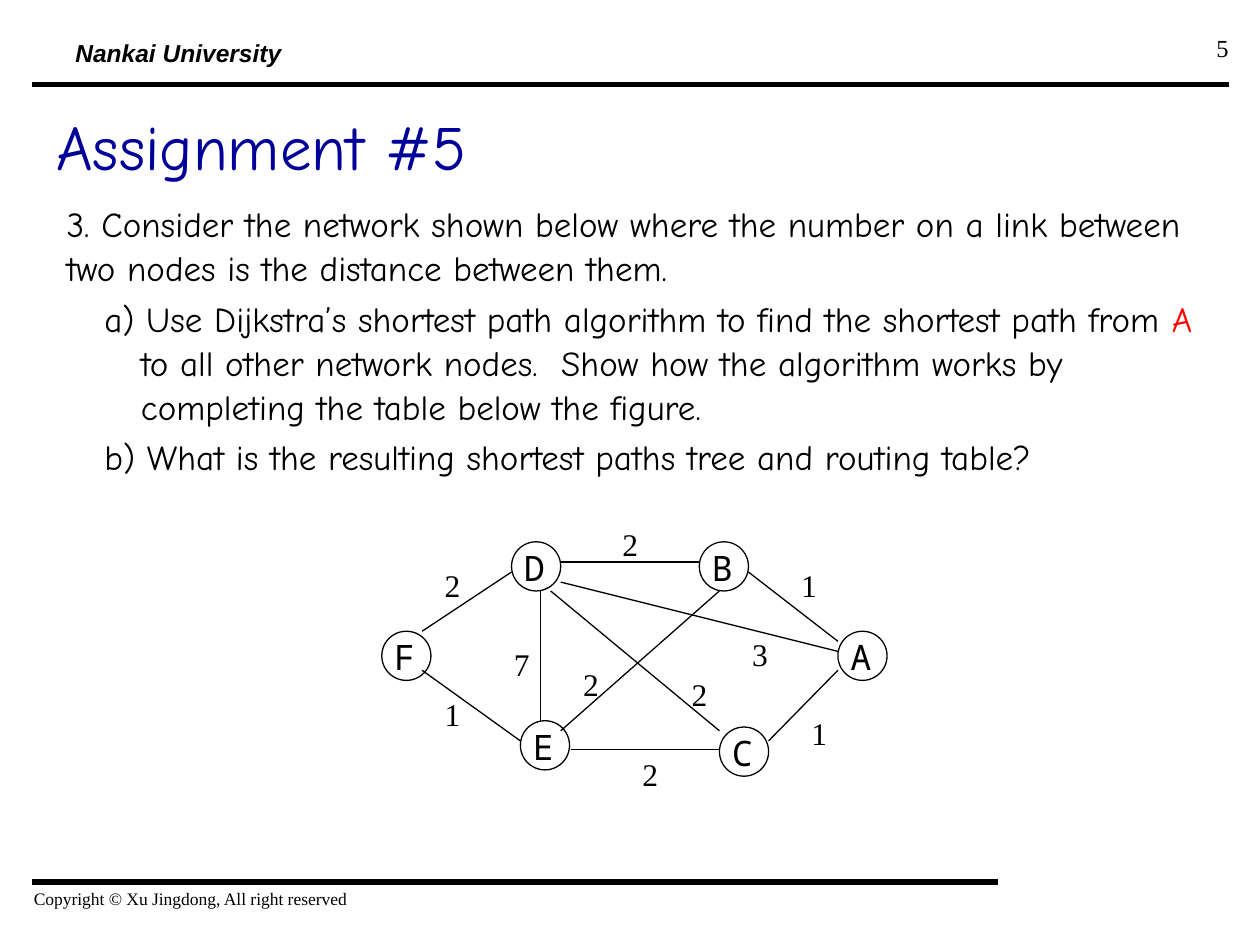
import pptx
import pptx.util
import pptx.dml.color
import pptx.enum.shapes
import pptx.enum.text
import pptx.oxml.ns
from lxml import etree

Inches, Pt = pptx.util.Inches, pptx.util.Pt
RGBColor = pptx.dml.color.RGBColor
ALIGN = pptx.enum.text.PP_ALIGN
ANCHOR = pptx.enum.text.MSO_ANCHOR
AUTO_SIZE = pptx.enum.text.MSO_AUTO_SIZE
qn = pptx.oxml.ns.qn

BLACK = RGBColor(0, 0, 0)
NAVY = RGBColor(0x00, 0x00, 0x99)
RED = RGBColor(0xFF, 0, 0)
SERIF, SANS, HAND, MONO = "Times New Roman", "Arial", "Comic Neue", "Noto Sans Mono"

NODE_SIZE = 0.39
NODES = {"A": (6.65, 5.01), "B": (5.55, 4.3), "C": (5.71, 5.77),
         "D": (4.06, 4.3), "E": (4.13, 5.72), "F": (3.03, 5.01)}

# Each link: start, end, top left of its distance label, distance
LINKS = [
    ((3.35, 5.01), (4.06, 4.54), (3.43, 4.38), 2),  # F-D
    ((4.45, 4.46), (5.55, 4.46), (4.84, 4.06), 2),  # D-B
    ((5.94, 4.54), (6.65, 5.09), (6.26, 4.38), 1),  # B-A
    ((3.35, 5.32), (4.13, 5.88), (3.43, 5.41), 1),  # F-E
    ((4.53, 5.95), (5.71, 5.95), (5, 5.88), 2),     # E-C
    ((6.1, 5.88), (6.65, 5.32), (6.34, 5.56), 1),   # C-A
    ((4.29, 4.69), (4.29, 5.72), (3.98, 5.01), 7),  # D-E
    ((4.45, 4.62), (6.65, 5.17), (5.87, 4.93), 3),  # D-A
    ((4.37, 4.69), (5.71, 5.8), (5.39, 5.25), 2),   # D-C
    ((5.71, 4.69), (4.45, 5.8), (4.53, 5.17), 2),   # B-E
]

# Each paragraph: outline level, runs of text and colour
QUESTION = [
    (0, [("3. Consider the network shown below where the number on a link "
          "between two nodes is the distance between them.", BLACK)]),
    (1, [("a) Use Dijkstra’s shortest path algorithm to find the shortest path from ", BLACK),
         ("A", RED),
         (" to all other network nodes.  Show how the algorithm works by "
          "completing the table below the figure.", BLACK)]),
    (1, [("b) What is the resulting shortest paths tree and routing table?", BLACK)]),
]


def set_font(r, size, name, color=BLACK):
    r.font.size, r.font.name = Pt(size), name
    r.font.color.rgb = color


def set_indent(p, left, first):
    pPr = p._p.get_or_add_pPr()
    pPr.set("marL", str(Inches(left)))
    pPr.set("indent", str(Inches(first)))


def add_text(shapes, box, text, size, font, color=BLACK):
    """Add a one-paragraph text box and return its frame."""
    tf = shapes.add_textbox(*map(Inches, box)).text_frame
    tf.word_wrap = True
    tf.text = text
    set_font(tf.paragraphs[0].runs[0], size, font, color)
    return tf


def add_label(shapes, box, text, size, font, space):
    """Add a node letter or a link distance."""
    tf = add_text(shapes, box, text, size, font)
    tf.auto_size = AUTO_SIZE.SHAPE_TO_FIT_TEXT
    p = tf.paragraphs[0]
    p.alignment = ALIGN.JUSTIFY
    p.line_spacing, p.space_before = 1.2, Pt(space)
    set_indent(p, 0.38, -0.38)


def add_line(shapes, start, end, width):
    s = shapes.add_connector(pptx.enum.shapes.MSO_CONNECTOR.STRAIGHT,
                             *map(Inches, start + end))
    s.line.color.rgb = BLACK
    s.line.width = Pt(width)
    etree.SubElement(s._element.spPr, qn("a:effectLst"))


def add_node(shapes, name, left, top):
    group = shapes.add_group_shape()
    s = group.shapes.add_shape(pptx.enum.shapes.MSO_SHAPE.OVAL, Inches(left), Inches(top),
                               Inches(NODE_SIZE), Inches(NODE_SIZE))
    s.shadow.inherit = False
    s.fill.background()
    s.line.color.rgb = BLACK
    s.line.width = Pt(0.75)
    add_label(group.shapes, (left, top - 0.08, 0.32, 0.5), name, 20, MONO, 12.5)


def add_header_and_footer(shapes):
    add_line(shapes, (7.92, 7), (0.25, 7), 3)
    add_line(shapes, (9.75, 0.67), (0.25, 0.67), 3)
    tf = add_text(shapes, (0.5, 0.32, 2, 0.27), "Nankai University", 14, SANS)
    p = tf.paragraphs[0]
    p.line_spacing, p.space_before = 0.7, Pt(3.5)
    p.runs[0].font.bold = p.runs[0].font.italic = True
    add_text(shapes, (0.17, 7, 3.83, 0.33),
             "Copyright © Xu Jingdong, All right reserved", 10, SERIF)
    tf = add_text(shapes, (7.52, 0.21, 2.33, 0.52), "5", 14, SERIF)
    tf.paragraphs[0].alignment = ALIGN.RIGHT


def add_question(shapes):
    tf = shapes.add_textbox(*map(Inches, (0.43, 1.54, 9.14, 2.36))).text_frame
    tf.word_wrap = True
    for i, (level, runs) in enumerate(QUESTION):
        p = tf.add_paragraph() if i else tf.paragraphs[0]
        p.level = level
        p.line_spacing, p.space_before = 1.05, Pt(3.7)
        if level:
            set_indent(p, 0.59, -0.29)
        for text, color in runs:
            r = p.add_run()
            r.text = text
            set_font(r, 20, HAND, color)


def main():
    prs = pptx.Presentation()
    prs.slide_width, prs.slide_height = Inches(10), Inches(7.5)
    shapes = prs.slides.add_slide(prs.slide_layouts[6]).shapes

    add_header_and_footer(shapes)

    # Title and question
    tf = add_text(shapes, (0.35, 0.67, 8.9, 0.96), "Assignment #5", 36, HAND, NAVY)
    tf.vertical_anchor = ANCHOR.MIDDLE
    add_question(shapes)

    # Network: nodes, links, distances
    for name, (left, top) in NODES.items():
        add_node(shapes, name, left, top)
    for start, end, _, _ in LINKS:
        add_line(shapes, start, end, 0.75)
    for _, _, corner, distance in LINKS:
        add_label(shapes, corner + (0.31, 0.46), str(distance), 18, SERIF, 11.2)

    prs.save("out.pptx")


if __name__ == "__main__":
    main()
